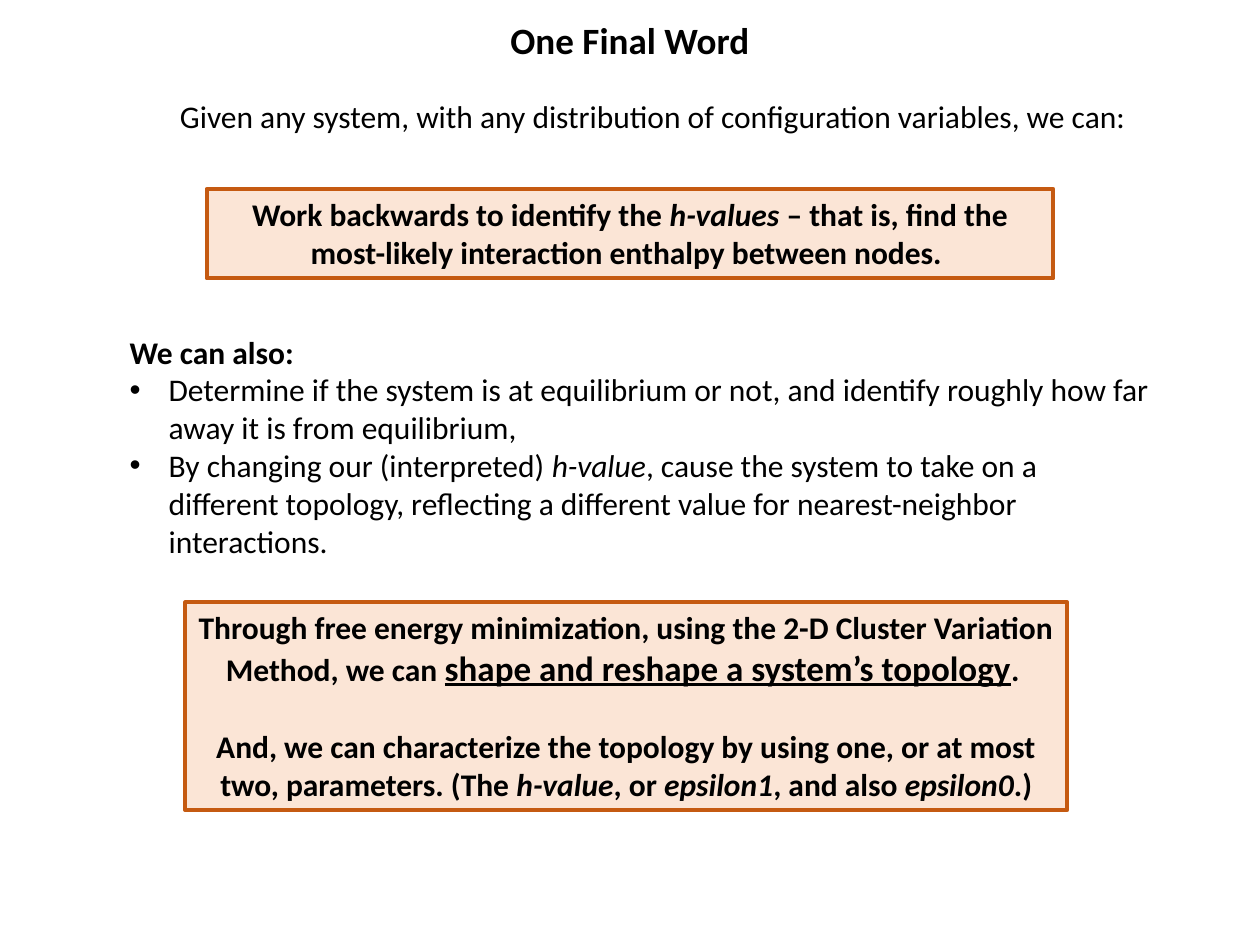
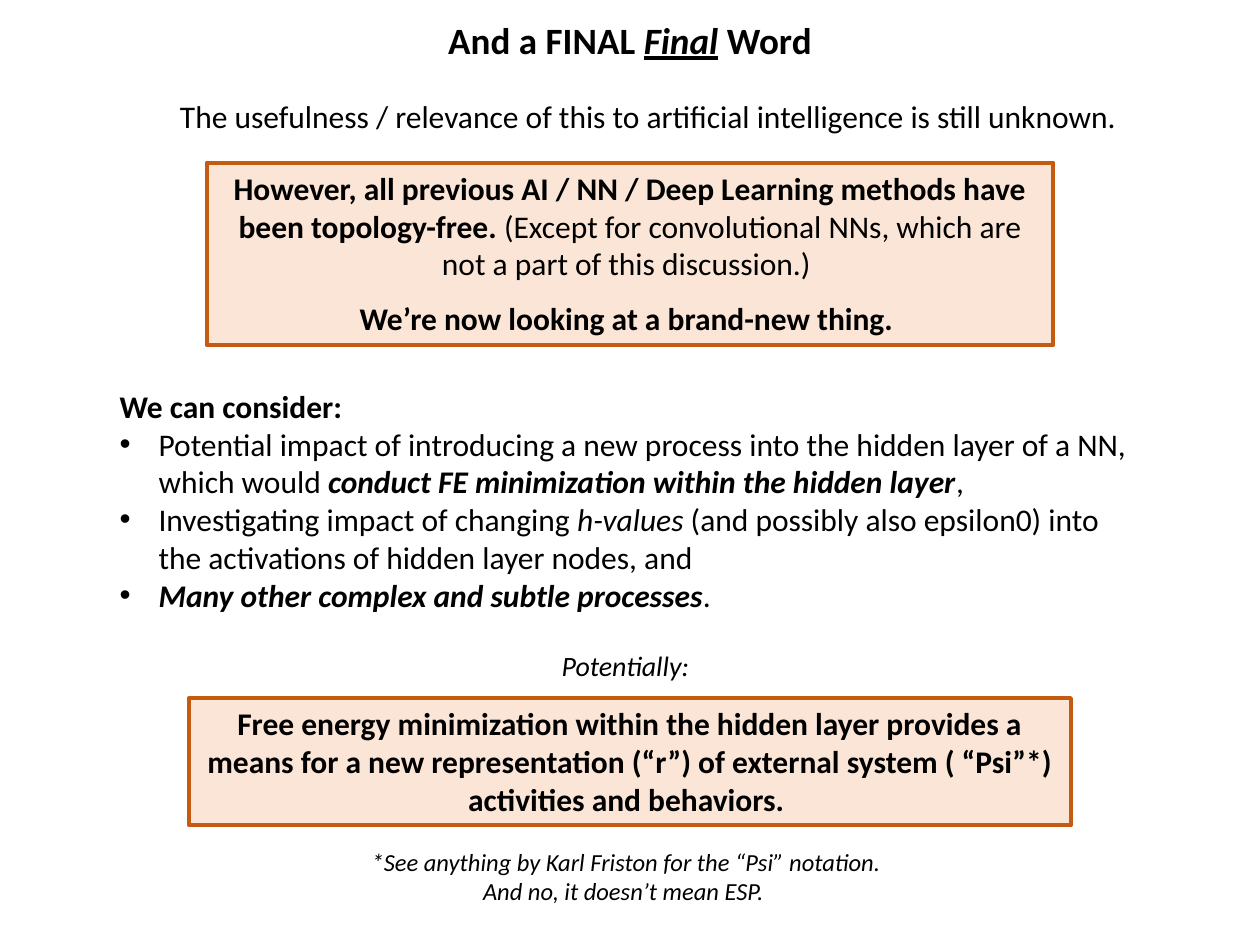
from lxml import etree
from pptx import Presentation
from pptx.dml.color import RGBColor
from pptx.enum import shapes, text
from pptx.oxml.ns import qn
from pptx.util import Inches, Pt

COLORS = {"ink": "000000", "callout": "FBE5D6", "border": "C55A11"}
FONT = "Calibri"
CENTER = text.PP_ALIGN.CENTER
LEFT = text.PP_ALIGN.LEFT
BULLET_INDENT = Inches(0.31)


def color(name):
    return RGBColor.from_string(COLORS[name])


def add_span(para, words, size, style=""):
    span = para.add_run()
    span.text = words
    font = span.font
    font.name, font.size = FONT, Pt(size)
    font.color.rgb = color("ink")
    font.bold, font.italic, font.underline = (mark in style for mark in "biu")


def add_bullet(para):
    settings = para._p.get_or_add_pPr()
    settings.set("marL", str(BULLET_INDENT))
    settings.set("indent", str(-BULLET_INDENT))
    etree.SubElement(settings, qn("a:buFont"), typeface="Arial")
    etree.SubElement(settings, qn("a:buChar"), char="•")


def write_text(box, paragraphs, size=18, style="", align=LEFT, wrap=True,
               gap=0, bullets=False):
    frame = box.text_frame
    frame.word_wrap = wrap
    for index, spans in enumerate(paragraphs):
        para = frame.paragraphs[0] if index == 0 else frame.add_paragraph()
        para.alignment = align
        if index and gap:
            para.space_before = Pt(gap)
        if index and bullets:
            add_bullet(para)
        for span in [spans] if isinstance(spans, str) else spans:
            words, span_style, span_size = (
                (span, style, size) if isinstance(span, str)
                else (*span, size)[:3])
            add_span(para, words, span_size, span_style)


def add_text(page, place, paragraphs, **form):
    box = page.shapes.add_textbox(*map(Inches, place))
    write_text(box, paragraphs, **form)


def add_title(page, spans):
    add_text(page, (2, 0.09, 6, 0.46), [spans], size=21.2, style="b",
             align=CENTER, wrap=False)


def add_lead(page, words):
    add_text(page, (1.33, 0.72, 7.79, 0.4), [words], wrap=False)


def add_list(page, left, top, heading, items):
    add_text(page, (left, top, 8.31, 1.92), [[(heading, "b")], *items],
             bullets=True)


def add_callout(page, place, paragraphs, gap=0):
    box = page.shapes.add_shape(shapes.MSO_SHAPE.RECTANGLE,
                                *map(Inches, place))
    box.shadow.inherit = False
    box.fill.solid()
    box.fill.fore_color.rgb = color("callout")
    box.line.color.rgb = color("border")
    box.line.width = Pt(2.25)
    box.text_frame.vertical_anchor = text.MSO_ANCHOR.TOP
    write_text(box, paragraphs, style="b", align=CENTER, gap=gap)


def build_final_word(page):
    add_title(page, "One Final Word")
    add_lead(page, "Given any system, with any distribution of configuration variables, we can:")
    add_callout(page, (1.64, 1.5, 6.72, 0.71), [
        ["Work backwards to identify the ", ("h-values", "bi"),
         " – that is, find the most-likely interaction enthalpy between nodes. "]])
    add_list(page, 0.93, 2.59, "We can also:", [
        "Determine if the system is at equilibrium or not, and identify "
        "roughly how far away it is from equilibrium,",
        ["By changing our (interpreted) ", ("h-value", "i"),
         ", cause the system to take on a different topology, reflecting a "
         "different value for nearest-neighbor interactions."]])
    add_callout(page, (1.47, 4.78, 7, 1.65), [
        ["Through free energy minimization, using the 2-D Cluster Variation Method, we can ",
         ("shape and reshape a system’s topology", "bu", 20), ". "],
        ["And, we can characterize the topology by using one, or at most two, parameters. (The ",
         ("h-value", "bi"), ", or ", ("epsilon1", "bi"), ", and also ",
         ("epsilon0", "bi"), ".)"]], gap=22)


def build_final_final_word(page):
    add_title(page, ["And a FINAL ", ("Final", "biu"), " Word"])
    add_lead(page, "The usefulness / relevance of this to artificial intelligence is still unknown.")
    add_callout(page, (1.64, 1.29, 6.72, 1.45), [
        ["However, all previous AI / NN / Deep Learning methods have been topology-free. ",
         ("(Except for convolutional NNs, which are not a part of this discussion.) ", "")],
        "We’re now looking at a brand-new thing. "], gap=9.8)
    add_list(page, 0.85, 3.02, "We can consider:", [
        ["Potential impact of introducing a new process into the hidden layer of a NN, which would ",
         ("conduct FE minimization within the hidden layer", "bi"), ","],
        ["Investigating impact of changing ", ("h-values", "i"),
         " (and possibly also epsilon0) into the activations of hidden layer nodes, and"],
        [("Many other complex and subtle processes", "bi"), "."]])
    add_callout(page, (1.5, 5.54, 7, 1.01), [
        "Free energy minimization within the hidden layer provides a means for a new "
        "representation (“r”) of external system ( “Psi”*) activities and behaviors. "])
    add_text(page, (4.36, 5.1, 1.28, 0.37), ["Potentially:"], size=16,
             style="i", wrap=False)
    add_text(page, (2.83, 6.67, 4.28, 0.57), [
        "*See anything by Karl Friston for the “Psi” notation.",
        "And no, it doesn’t mean ESP. "], size=14, style="i", align=CENTER,
        wrap=False)


def main():
    deck = Presentation()
    deck.slide_width, deck.slide_height = Inches(10), Inches(7.5)
    for build in (build_final_word, build_final_final_word):
        build(deck.slides.add_slide(deck.slide_layouts[6]))
    deck.save("out.pptx")


if __name__ == "__main__":
    main()
